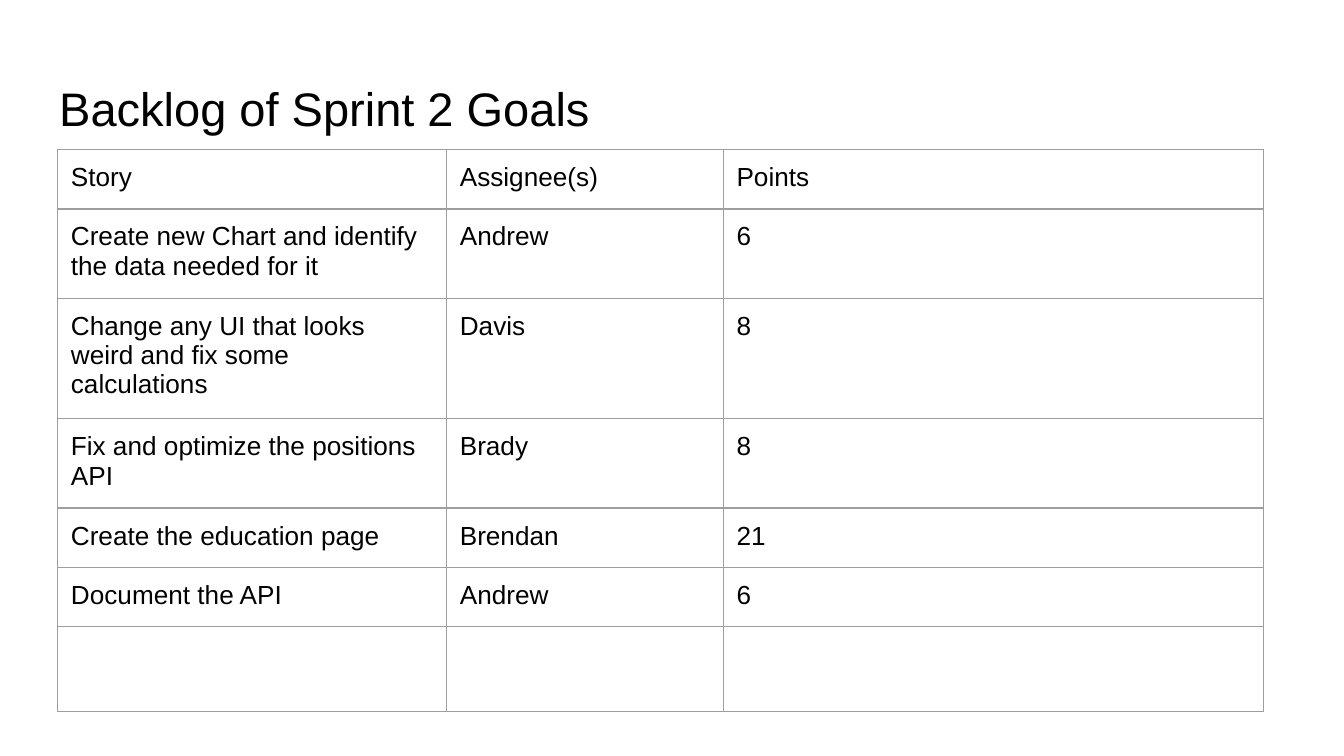
from dataclasses import dataclass

from lxml import etree
from pptx import Presentation
from pptx.dml.color import RGBColor
from pptx.enum.text import MSO_ANCHOR
from pptx.oxml.ns import qn
from pptx.util import Cm, Pt

MIDDLE = MSO_ANCHOR.MIDDLE
TOP = MSO_ANCHOR.TOP


@dataclass(frozen=True)
class Theme:
    font: str = "Arial"
    ink: RGBColor = RGBColor(0, 0, 0)
    grid: str = "9E9E9E"
    title_size: Pt = Pt(25.2)
    body_size: Pt = Pt(14)
    grid_width: Pt = Pt(0.75)
    inset: Cm = Cm(0.25)


THEME = Theme()

COLUMN_WIDTHS = [7.35, 5.23, 10.21]
BACKLOG = [
    (1.12, "Story", "Assignee(s)", "Points"),
    (1.12, "Create new Chart and identify the data needed for it", "Andrew", "6"),
    (1.6, "Change any UI that looks weird and fix some calculations", "Davis", "8"),
    (1.12, "Fix and optimize the positions API", "Brady", "8"),
    (1.12, "Create the education page", "Brendan", "21"),
    (1.12, "Document the API", "Andrew", "6"),
    (1.6, "", "", ""),
]


def write(holder, frame, text, size, anchor):
    """Put one styled paragraph in a frame; holder carries margins and anchor."""
    holder.margin_left = holder.margin_right = THEME.inset
    holder.margin_top = holder.margin_bottom = THEME.inset
    holder.vertical_anchor = anchor
    frame.word_wrap = True
    paragraph = frame.paragraphs[0]
    paragraph.text = text
    paragraph.font.name = THEME.font
    paragraph.font.size = size
    paragraph.font.color.rgb = THEME.ink


def outline(cell):
    properties = cell._tc.get_or_add_tcPr()
    for side in ("a:lnL", "a:lnR", "a:lnT", "a:lnB"):
        line = etree.SubElement(properties, qn(side), w=str(THEME.grid_width))
        fill = etree.SubElement(line, qn("a:solidFill"))
        etree.SubElement(fill, qn("a:srgbClr"), val=THEME.grid)


prs = Presentation()
prs.slide_width, prs.slide_height = Cm(25.4), Cm(14.29)
slide = prs.slides.add_slide(prs.slide_layouts[6])

title = slide.shapes.add_textbox(Cm(0.87), Cm(1.24), Cm(23.67), Cm(1.6)).text_frame
write(title, title, "Backlog of Sprint 2 Goals", THEME.title_size, MIDDLE)

backlog = slide.shapes.add_table(
    len(BACKLOG), len(COLUMN_WIDTHS), Cm(1.09), Cm(2.83),
    Cm(sum(COLUMN_WIDTHS)), Cm(sum(height for height, *_ in BACKLOG)),
).table
backlog.first_row = backlog.horz_banding = False

for column, width in zip(backlog.columns, COLUMN_WIDTHS):
    column.width = Cm(width)

for row, (height, *entries) in zip(backlog.rows, BACKLOG):
    row.height = Cm(height)
    for cell, entry in zip(row.cells, entries):
        write(cell, cell.text_frame, entry, THEME.body_size, TOP)
        outline(cell)
        cell.fill.background()

prs.save("out.pptx")
